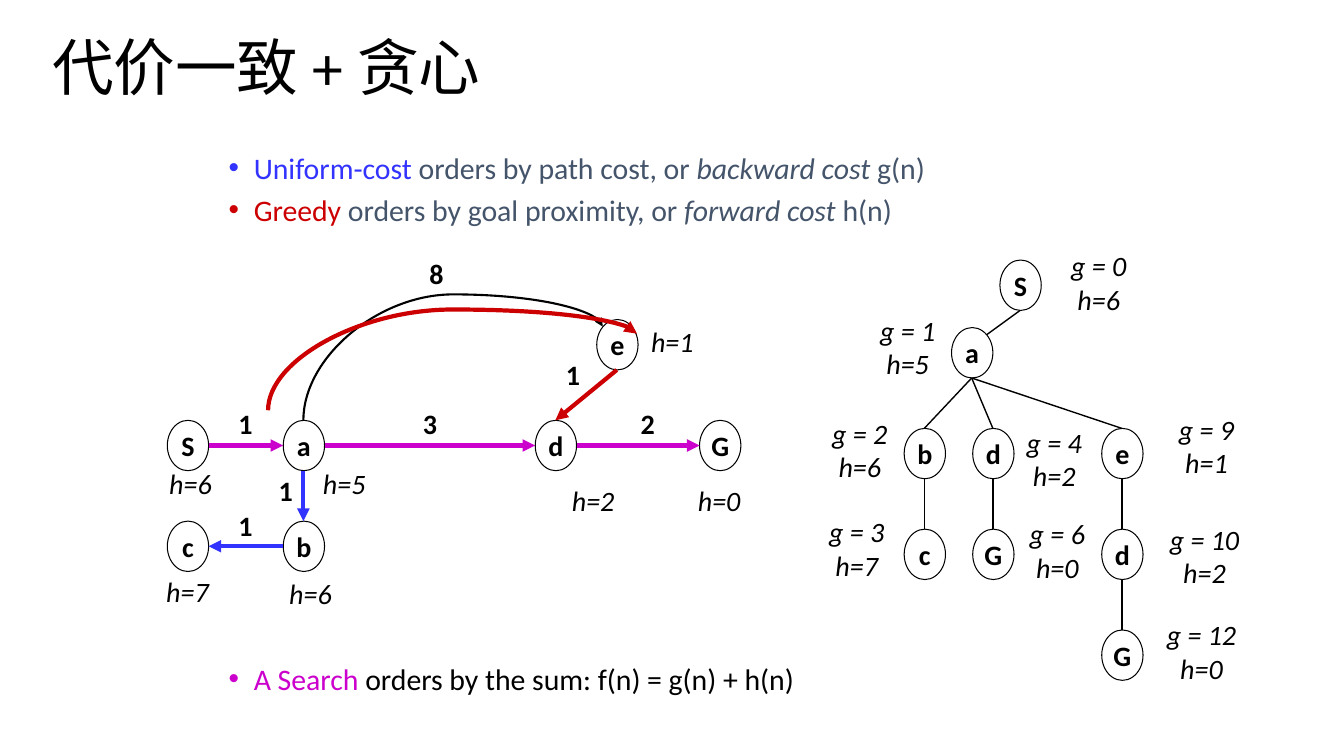
from dataclasses import dataclass

from lxml import etree
from pptx import Presentation
from pptx.dml.color import RGBColor
from pptx.enum.shapes import MSO_CONNECTOR, MSO_SHAPE
from pptx.enum.text import MSO_ANCHOR, PP_ALIGN
from pptx.oxml.ns import qn
from pptx.util import Emu, Pt

ELLIPSE = MSO_SHAPE.OVAL
STRAIGHT, CURVE = MSO_CONNECTOR.STRAIGHT, MSO_CONNECTOR.CURVE
LEFT, CENTER = PP_ALIGN.LEFT, PP_ALIGN.CENTER
TOP, MIDDLE = MSO_ANCHOR.TOP, MSO_ANCHOR.MIDDLE

EMU_PER_PX = 9144  # 100 px to the inch
FONT = "Calibri"
BLACK, WHITE, SLATE = "000000", "FFFFFF", "44546A"
BLUE, RED, PURPLE = "3333FF", "CC0000", "CC00CC"
NODE_WIDTH, NODE_HEIGHT = 41, 50
# Points on a node, measured from its top left corner
SIDES = {"top": (20, 0), "left": (0, 25), "bottom": (20, 50),
         "right": (41, 25), "corner": (35, 7)}


@dataclass
class Node:
    text: str
    left: int
    top: int

    def point(self, side: str) -> tuple[int, int]:
        dx, dy = SIDES[side]
        return self.left + dx, self.top + dy


@dataclass
class Edge:
    start: str
    start_side: str
    end: str
    end_side: str
    color: str = BLACK


@dataclass
class Label:
    text: str
    left: int
    top: int
    width: int


@dataclass
class Arc:
    start: tuple[int, int]
    end: tuple[int, int]
    peak: int
    color: str
    weight: float


@dataclass
class Span:
    text: str
    color: str
    italic: bool = False


GRAPH_NODES = {
    "S": Node("S", 166, 417), "a": Node("a", 281, 417),
    "d": Node("d", 531, 417), "G": Node("G", 694, 417),
    "c": Node("c", 166, 517), "b": Node("b", 281, 517),
    "e": Node("e", 592, 317),
}
GRAPH_EDGES = [
    Edge("S", "right", "a", "left", PURPLE),
    Edge("a", "right", "d", "left", PURPLE),
    Edge("d", "right", "G", "left", PURPLE),
    Edge("a", "bottom", "b", "top", BLUE),
    Edge("b", "left", "c", "right", BLUE),
    Edge("e", "bottom", "d", "top", RED),
]
LONG_WAY = Arc((301, 417), (598, 324), 292, BLACK, 1.5)
GREEDY_WAY = Arc((266, 407), (632, 331), 307, RED, 3)
EDGE_COSTS = [
    Label("1", 220, 398, 47), Label("3", 403, 398, 47),
    Label("2", 619, 398, 47), Label("1", 260, 465, 47),
    Label("1", 220, 500, 47), Label("1", 545, 350, 47),
    Label("8", 416, 250, 34),
]
TREE_NODES = {
    "S": Node("S", 992, 258), "a": Node("a", 944, 325),
    "b": Node("b", 897, 425), "c": Node("c", 897, 525),
    "d": Node("d", 965, 425), "G": Node("G", 965, 525),
    "e": Node("e", 1093, 425), "e-d": Node("d", 1093, 525),
    "e-d-G": Node("G", 1093, 625),
}
TREE_EDGES = [Edge("S", "bottom", "a", "corner")] + [
    Edge(parent, "bottom", child, "top")
    for parent, child in (("a", "b"), ("a", "d"), ("a", "e"), ("b", "c"),
                          ("d", "G"), ("e", "e-d"), ("e-d", "e-d-G"))
]
NODE_VALUES = [
    Label("h=6", 152, 458, 74), Label("h=5", 301, 458, 81),
    Label("h=2", 552, 475, 73), Label("h=0", 673, 475, 81),
    Label("h=7", 152, 565, 68), Label("h=6", 274, 567, 68),
    Label("h=1", 633, 317, 68),
    Label("g = 0 h=6", 1039, 242, 102), Label("g = 1 h=5", 850, 306, 101),
    Label("g = 2 h=6", 809, 408, 88), Label("g = 3 h=7", 803, 506, 94),
    Label("g = 4 h=2", 998, 417, 96), Label("g = 6 h=0", 998, 508, 102),
    Label("g = 9 h=1", 1145, 404, 104), Label("g = 10 h=2", 1141, 513, 108),
    Label("g = 12 h=0", 1138, 608, 108),
]
ORDERINGS = [
    [Span("Uniform-cost ", BLUE), Span("orders by path cost, or ", SLATE),
     Span("backward cost ", SLATE, True), Span("g(n)", SLATE)],
    [Span("Greedy ", RED), Span("orders by goal proximity, or ", SLATE),
     Span("forward cost ", SLATE, True), Span("h(n)", SLATE)],
]
COMBINED = [[Span("A Search", PURPLE),
             Span(" orders by the sum: f(n) = g(n) + h(n)", BLACK)]]


def px(value: float) -> Emu:
    return Emu(round(value * EMU_PER_PX))


def rgb(color: str) -> RGBColor:
    return RGBColor.from_string(color)


def add_span(para, text: str, *, size: float, color: str = BLACK,
             bold: bool = False, italic: bool = False) -> None:
    span = para.add_run()
    span.text = text
    font = span.font
    font.name, font.size, font.bold, font.italic = FONT, Pt(size), bold, italic
    font.color.rgb = rgb(color)


def add_text(page, text: str, left: int, top: int, width: int, height: int, *,
             align=CENTER, anchor=TOP, **style) -> None:
    box = page.shapes.add_textbox(px(left), px(top), px(width), px(height))
    box.text_frame.word_wrap = True
    box.text_frame.vertical_anchor = anchor
    para = box.text_frame.paragraphs[0]
    para.alignment = align
    add_span(para, text, **style)


def add_bullets(page, lines: list[list[Span]], top: int, height: int) -> None:
    box = page.shapes.add_textbox(px(217), px(top), px(836), px(height))
    frame = box.text_frame
    frame.word_wrap = True
    for index, spans in enumerate(lines):
        para = frame.add_paragraph() if index else frame.paragraphs[0]
        para.line_spacing = 0.8
        para.space_before = Pt(10 if index else 0)
        properties = para._p.get_or_add_pPr()
        properties.set("marL", str(px(25)))
        properties.set("indent", str(px(-25)))
        etree.SubElement(properties, qn("a:buFont")).set("typeface", "Arial")
        etree.SubElement(properties, qn("a:buChar")).set("char", "•")
        for span in spans:
            add_span(para, span.text, size=21.3, color=span.color, italic=span.italic)


def add_node(page, node: Node) -> None:
    oval = page.shapes.add_shape(ELLIPSE, px(node.left), px(node.top),
                                 px(NODE_WIDTH), px(NODE_HEIGHT))
    oval.shadow.inherit = False
    oval.fill.solid()
    oval.fill.fore_color.rgb = rgb(WHITE)
    oval.line.color.rgb = rgb(BLACK)
    oval.line.width = Pt(0.75)
    oval.text_frame.word_wrap = False
    oval.text_frame.vertical_anchor = MIDDLE
    para = oval.text_frame.paragraphs[0]
    para.alignment = CENTER
    add_span(para, node.text, size=20, bold=True)


def add_line(page, start: tuple, end: tuple, *, color: str, weight: float,
             arrow: bool, kind=STRAIGHT):
    line = page.shapes.add_connector(kind, *map(px, start + end))
    line.line.color.rgb = rgb(color)
    line.line.width = Pt(weight)
    if arrow:
        etree.SubElement(line.line._get_or_add_ln(), qn("a:tailEnd")).set("type", "triangle")
    etree.SubElement(line._element.spPr, qn("a:effectLst"))
    return line


def add_arc(page, arc: Arc) -> None:
    """Curved connector turned a quarter left, so that it leaves upwards."""
    (x1, y1), (x2, y2) = arc.start, arc.end
    middle_x, middle_y = (x1 + x2) / 2, (y1 + y2) / 2
    half_rise, half_run = (y1 - y2) / 2, (x2 - x1) / 2
    line = add_line(page, (middle_x - half_rise, middle_y - half_run),
                    (middle_x + half_rise, middle_y + half_run),
                    color=arc.color, weight=arc.weight, arrow=True, kind=CURVE)
    properties = line._element.spPr
    properties.find(qn("a:xfrm")).set("rot", str(270 * 60000))
    geometry = properties.find(qn("a:prstGeom"))
    guide = etree.SubElement(geometry.find(qn("a:avLst")), qn("a:gd"))
    guide.set("name", "adj1")
    guide.set("fmla", f"val {round((y1 - arc.peak) / (y1 - y2) * 100000)}")


def add_network(page, nodes: dict[str, Node], edges: list[Edge],
                weight: float, arrow: bool) -> None:
    for node in nodes.values():
        add_node(page, node)
    for edge in edges:
        add_line(page, nodes[edge.start].point(edge.start_side),
                 nodes[edge.end].point(edge.end_side),
                 color=edge.color, weight=weight, arrow=arrow)


def main() -> None:
    deck = Presentation()
    deck.slide_width, deck.slide_height = Emu(12192000), Emu(6858000)
    page = deck.slides.add_slide(deck.slide_layouts[6])

    # Title and statements
    add_text(page, "代价一致 + 贪心", 42, 30, 1107, 71,
             align=LEFT, anchor=MIDDLE, size=44)
    add_bullets(page, ORDERINGS, 150, 85)
    add_bullets(page, COMBINED, 657, 43)

    # State graph on the left, search tree on the right
    add_arc(page, LONG_WAY)
    add_network(page, GRAPH_NODES, GRAPH_EDGES, weight=3, arrow=True)
    add_arc(page, GREEDY_WAY)
    add_network(page, TREE_NODES, TREE_EDGES, weight=1, arrow=False)

    # Edge costs, and the values beside the nodes
    for label in EDGE_COSTS:
        add_text(page, label.text, label.left, label.top, label.width, 43,
                 size=20, bold=True)
    for label in NODE_VALUES:
        height = 77 if label.text.startswith("g") else 43
        add_text(page, label.text, label.left, label.top, label.width, height,
                 size=20, italic=True)

    deck.save("out.pptx")


if __name__ == "__main__":
    main()
